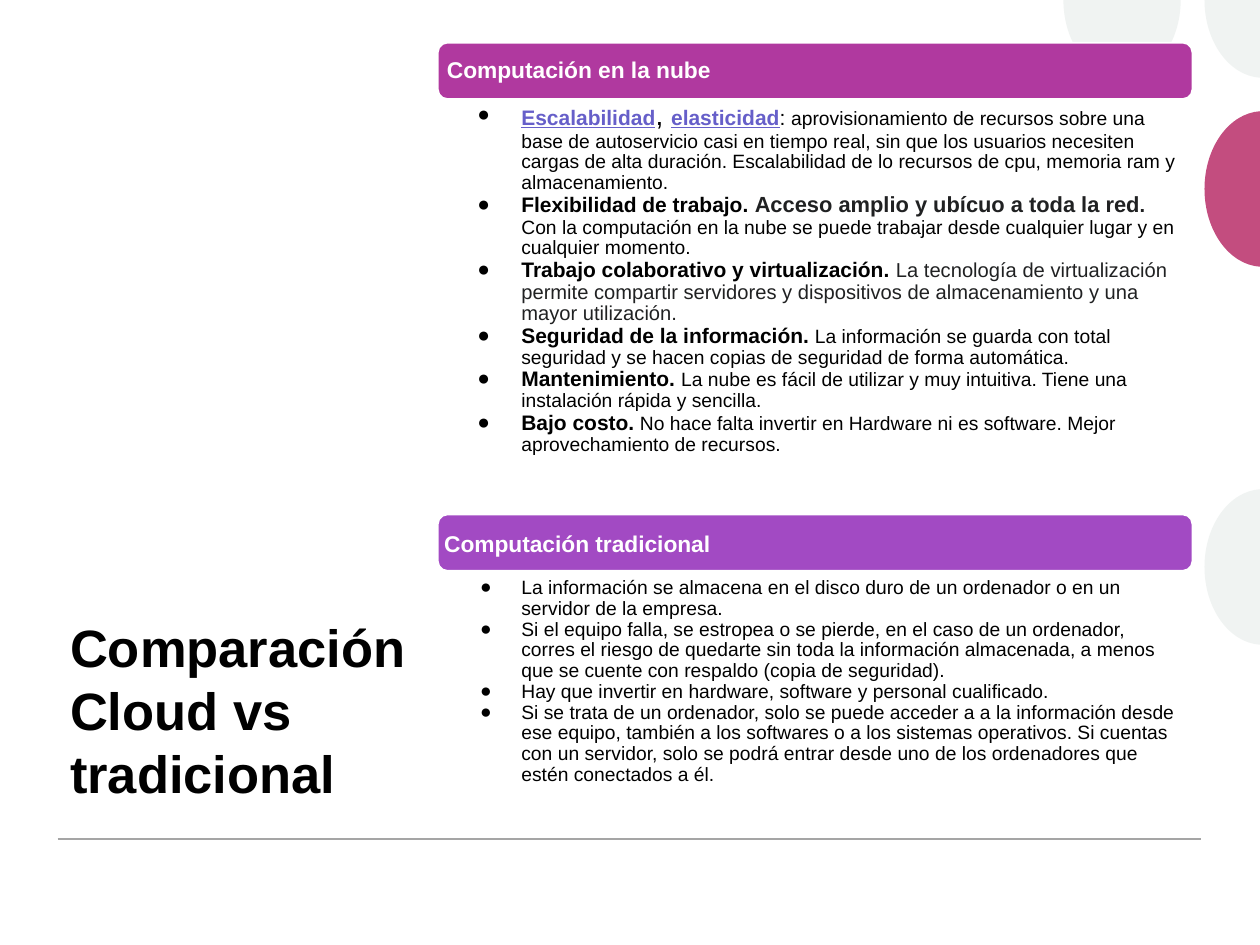
from dataclasses import dataclass
from math import cos, radians, sin, tan

from lxml import etree
from pptx import Presentation
from pptx.dml.color import RGBColor
from pptx.enum.shapes import MSO_CONNECTOR, MSO_SHAPE
from pptx.enum.text import MSO_ANCHOR
from pptx.oxml.ns import qn
from pptx.util import Pt

ROUNDED = MSO_SHAPE.ROUNDED_RECTANGLE
STRAIGHT = MSO_CONNECTOR.STRAIGHT
TOP, MIDDLE, BOTTOM = MSO_ANCHOR.TOP, MSO_ANCHOR.MIDDLE, MSO_ANCHOR.BOTTOM

SLIDE_W, SLIDE_H = 720, 540
DOT_RX, DOT_RY = 33.5, 44.5
FONT = "Arial"
COLORS = {
    "black": "000000", "dark": "202122", "white": "FFFFFF", "link": "665FC9",
    "grey": "F0F3F2", "pink": "C34D7F", "rule": "A5A5A5",
    "magenta": "B0399F", "purple": "A24AC3",
}


@dataclass
class Span:
    text: str
    size: float = 11
    bold: bool = False
    color: str = "black"
    underline: bool = False


@dataclass
class Box:
    left: float
    top: float
    width: float
    height: float


@dataclass
class Section:
    bar: Box
    color: str
    heading: str
    heading_box: Box
    body_box: Box
    hanging: float
    items: list[list[Span]]


@dataclass
class Dot:
    """Ellipse cut off by the slide edges; angles in degrees, clockwise from the right."""
    x: float
    y: float
    color: str
    angles: tuple[float, ...]
    corner: bool = False


def rgb(name: str) -> RGBColor:
    return RGBColor.from_string(COLORS[name])


def lead(text: str) -> Span:
    return Span(text, 12, True)


DOTS = [
    Dot(641.2, 0, "grey", (0, 90, 180)),
    Dot(721.8, 324, "grey", (93, 180, 267)),
    Dot(721.8, 108, "pink", (93, 180, 267)),
    Dot(721.8, 0, "grey", (93, 180), corner=True),
]

SECTIONS = [
    Section(
        Box(250.2, 24.4, 431.2, 32.2), "magenta", "Computación en la nube",
        Box(251.8, 26, 428, 29), Box(250.4, 56.5, 431, 237.5), 25.1,
        [
            [Span("Escalabilidad", 12, True, "link", True), Span(", ", 16),
             Span("elasticidad", 12, True, "link", True), Span(":", 12),
             Span(" ", 11.5, color="dark"),
             Span("aprovisionamiento de recursos sobre una base de autoservicio casi en "
                  "tiempo real, sin que los usuarios necesiten cargas de alta duración. "
                  "Escalabilidad de lo recursos de cpu, memoria ram y almacenamiento.")],
            [lead("Flexibilidad de trabajo. "),
             Span("Acceso amplio y ubícuo a toda la red", 12.5, True, "dark"),
             Span(". ", 11.5, True, "dark"),
             Span("Con la computación en la nube se puede trabajar desde cualquier "
                  "lugar y en cualquier momento.")],
            [lead("Trabajo colaborativo y virtualización. "),
             Span("La tecnología de virtualización permite compartir servidores y "
                  "dispositivos de almacenamiento y una mayor utilización.",
                  11.5, color="dark")],
            [lead("Seguridad de la información."), Span(" ", bold=True),
             Span("La información se guarda con total seguridad y se hacen copias de "
                  "seguridad de forma automática.")],
            [lead("Mantenimiento. "),
             Span("La nube es fácil de utilizar y muy intuitiva. Tiene una instalación "
                  "rápida y sencilla.")],
            [lead("Bajo costo."), Span(" ", bold=True),
             Span("No hace falta invertir en Hardware ni es software. Mejor "
                  "aprovechamiento de recursos.")],
        ],
    ),
    Section(
        Box(250.2, 294, 431.2, 32.2), "purple", "Computación tradicional",
        Box(250.2, 297, 428, 29), Box(250.4, 328.8, 431, 153.4), 23.5,
        [
            [Span("La información se almacena en el disco duro de un ordenador o en un "
                  "servidor de la empresa.")],
            [Span("Si el equipo falla, se estropea o se pierde, en el caso de un "
                  "ordenador, corres el riesgo de quedarte sin toda la información "
                  "almacenada, a menos que se cuente con respaldo (copia de seguridad).")],
            [Span("Hay que invertir en hardware, software y personal cualificado.")],
            [Span("Si se trata de un ordenador, solo se puede acceder a a la información "
                  "desde ese equipo, también a los softwares o a los sistemas operativos. "
                  "Si cuentas con un servidor, solo se podrá entrar desde uno de los "
                  "ordenadores que estén conectados a él.")],
        ],
    ),
]


def arc_point(dot: Dot, angle: float, pull: float = 0) -> tuple[int, int]:
    """Point on the ellipse, moved along its tangent by pull."""
    a = radians(angle)
    return (Pt(dot.x + DOT_RX * (cos(a) - pull * sin(a))),
            Pt(dot.y + DOT_RY * (sin(a) + pull * cos(a))))


def add_dot(s, dot: Dot) -> None:
    points = [arc_point(dot, a) for a in dot.angles]
    if dot.corner:
        points.insert(0, (Pt(SLIDE_W), Pt(0)))
    builder = s.shapes.build_freeform(*points[0])
    builder.add_line_segments(points[1:], close=True)
    sp = builder.convert_to_shape()
    arcs = list(zip(dot.angles, dot.angles[1:]))
    segments = list(sp._element.iter(qn("a:lnTo")))[int(dot.corner):]
    for segment, (start, end) in zip(segments, arcs):
        pull = 4 / 3 * tan(radians(end - start) / 4)
        segment.tag = qn("a:cubicBezTo")
        controls = arc_point(dot, start, pull), arc_point(dot, end, -pull)
        for i, (x, y) in enumerate(controls):
            pt = etree.Element(qn("a:pt"), x=str(x - sp.left), y=str(y - sp.top))
            segment.insert(i, pt)
    sp.shadow.inherit = False
    sp.fill.solid()
    sp.fill.fore_color.rgb = rgb(dot.color)
    sp.line.fill.background()


def add_bullet(p, hanging: float) -> None:
    ppr = p._p.get_or_add_pPr()
    ppr.set("marL", str(Pt(36)))
    ppr.set("indent", str(-Pt(hanging)))
    color = etree.SubElement(ppr, qn("a:buClr"))
    etree.SubElement(color, qn("a:srgbClr"), val=COLORS["black"])
    etree.SubElement(ppr, qn("a:buFont"), typeface=FONT)
    etree.SubElement(ppr, qn("a:buChar"), char="●")


def add_text(s, box: Box, paragraphs: list[list[Span]], insets: tuple[float, ...],
             anchor: MSO_ANCHOR, spacing: float = 0.9, hanging: float = 0) -> None:
    """Add a text box; insets run left, top, right, bottom; hanging turns on bullets."""
    sp = s.shapes.add_textbox(Pt(box.left), Pt(box.top), Pt(box.width), Pt(box.height))
    tf = sp.text_frame
    tf.word_wrap = True
    tf.vertical_anchor = anchor
    tf.margin_left, tf.margin_top, tf.margin_right, tf.margin_bottom = map(Pt, insets)
    for i, spans in enumerate(paragraphs):
        p = tf.add_paragraph() if i else tf.paragraphs[0]
        if hanging:
            add_bullet(p, hanging)
        p.line_spacing = spacing
        for span in spans:
            r = p.add_run()
            r.text = span.text
            r.font.name = FONT
            r.font.size = Pt(span.size)
            r.font.bold = span.bold
            r.font.underline = span.underline
            r.font.color.rgb = rgb(span.color)


def add_section(s, section: Section) -> None:
    bar = section.bar
    sp = s.shapes.add_shape(ROUNDED, Pt(bar.left), Pt(bar.top), Pt(bar.width), Pt(bar.height))
    sp.adjustments[0] = 0.17
    sp.shadow.inherit = False
    sp.fill.solid()
    sp.fill.fore_color.rgb = rgb(section.color)
    sp.line.color.rgb = rgb("white")
    sp.line.width = Pt(1)
    add_text(s, section.heading_box, [[Span(section.heading, 13, True, "white")]],
             (3.6, 3.6, 3.6, 3.6), MIDDLE)
    add_text(s, section.body_box, section.items, (11.5, 1.4, 7.2, 1.4), TOP,
             hanging=section.hanging)


def add_rule(s) -> None:
    line = s.shapes.add_connector(STRAIGHT, Pt(33), Pt(479.5), Pt(686.3), Pt(479.5))
    line.line.color.rgb = rgb("rule")
    line.line.width = Pt(1)
    etree.SubElement(line._element.spPr, qn("a:effectLst"))


def main() -> None:
    prs = Presentation()
    prs.slide_width, prs.slide_height = Pt(SLIDE_W), Pt(SLIDE_H)
    s = prs.slides.add_slide(prs.slide_layouts[6])
    add_text(s, Box(33, 196, 213, 267), [[Span("Comparación Cloud vs tradicional", 30, True)]],
             (7.2, 3.6, 7.2, 3.6), BOTTOM, spacing=1)
    for dot in DOTS:
        add_dot(s, dot)
    add_rule(s)
    for section in SECTIONS:
        add_section(s, section)
    prs.save("out.pptx")


if __name__ == "__main__":
    main()
